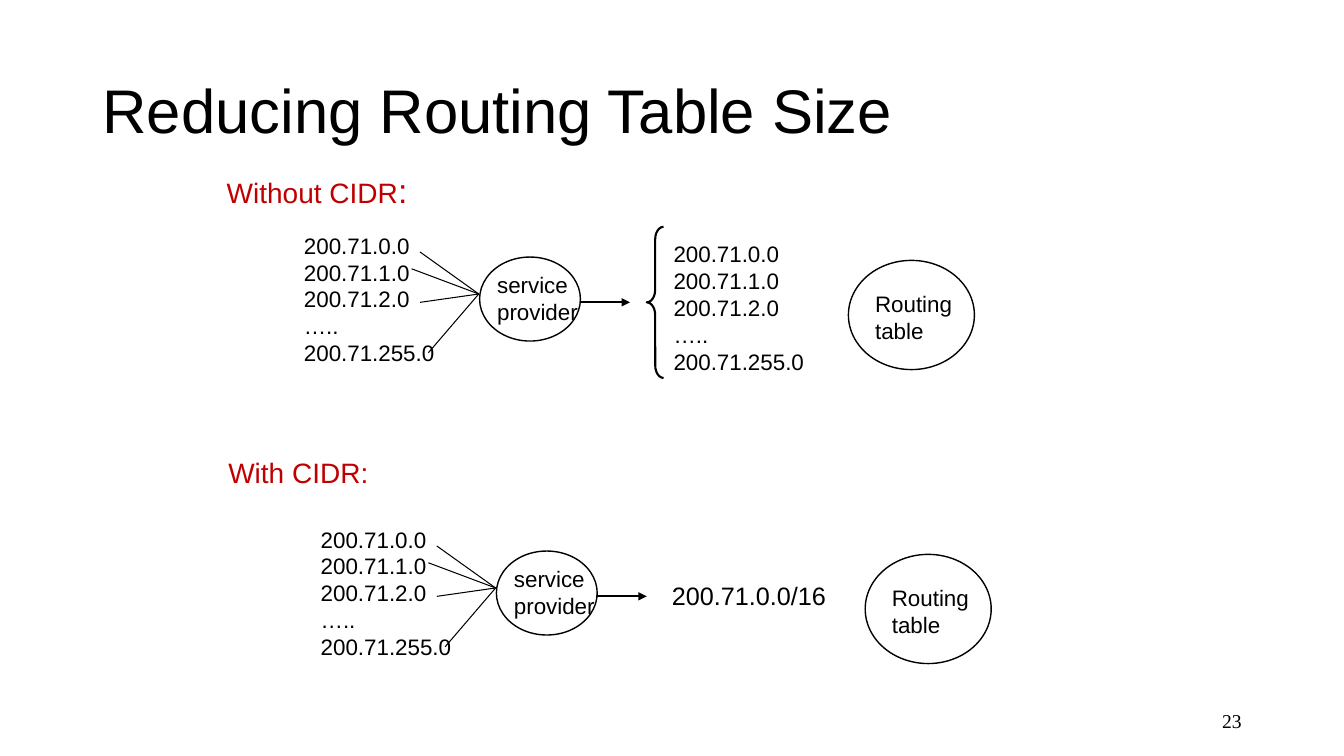
from lxml import etree
from pptx import Presentation
from pptx import util as u
from pptx.dml.color import RGBColor
from pptx.enum import shapes, text
from pptx.oxml.ns import qn

COLORS = {"ink": "000000", "heading": "C00000"}
COLUMNS, ROWS = 160, 90
CELL = u.Inches(13.333) / COLUMNS
PANEL_SHIFT = (2, 35)
ADDRESSES = ["200.71.0.0", "200.71.1.0", "200.71.2.0", "…..", "200.71.255.0"]
LINK_STARTS = [(50, 30), (49, 32), (50, 36), (51, 42)]
LINK_END = (57, 35)


def cells(*counts):
    """Turn grid counts into lengths."""
    return [u.Emu(round(count * CELL)) for count in counts]


def color(name):
    return RGBColor.from_string(COLORS[name])


def write(frame, lines, size=16, font="Arial", ink="ink",
          align=text.PP_ALIGN.LEFT, anchor=text.MSO_ANCHOR.TOP,
          wrap=False, spacing=None):
    """Fill a text frame; a line is a string or a list of (words, size)."""
    frame.word_wrap = wrap
    frame.auto_size = (text.MSO_AUTO_SIZE.NONE if wrap
                       else text.MSO_AUTO_SIZE.SHAPE_TO_FIT_TEXT)
    frame.vertical_anchor = anchor
    for index, line in enumerate(lines):
        paragraph = frame.add_paragraph() if index else frame.paragraphs[0]
        paragraph.alignment = align
        paragraph.line_spacing = spacing
        pieces = [(line, size)] if isinstance(line, str) else line
        for words, points in pieces:
            run = paragraph.add_run()
            run.text = words
            run.font.size = u.Pt(points)
            run.font.name = font
            run.font.color.rgb = color(ink)


def label(slide, box, lines, **style):
    write(slide.shapes.add_textbox(*cells(*box)).text_frame, lines, **style)


def outline(slide, kind, box, weight=1):
    shape = slide.shapes.add_shape(kind, *cells(*box))
    shape.shadow.inherit = False
    shape.fill.background()
    shape.line.color.rgb = color("ink")
    shape.line.width = u.Pt(weight)
    return shape


def link(slide, start, end, weight=0.75, arrow=False):
    line = slide.shapes.add_connector(
        shapes.MSO_CONNECTOR.STRAIGHT, *cells(*start, *end))
    line.line.color.rgb = color("ink")
    line.line.width = u.Pt(weight)
    if arrow:
        etree.SubElement(line.line._get_or_add_ln(), qn("a:tailEnd"), type="triangle")
    etree.SubElement(line._element.spPr, qn("a:effectLst"))


def network(slide, dx=0, dy=0):
    """Draw the addresses, the provider and the routing table of one case."""
    oval = shapes.MSO_SHAPE.OVAL
    outline(slide, oval, (57.1 + dx, 30.6 + dy, 12, 10))
    label(slide, (58 + dx, 31.65 + dy, 12.1, 7.7), ["service", "provider"])
    label(slide, (35 + dx, 27 + dy, 18.1, 17.4), ADDRESSES)
    end_x, end_y = LINK_END
    for x, y in LINK_STARTS:
        link(slide, (x + dx, y + dy), (end_x + dx, end_y + dy))
    link(slide, (69 + dx, 36 + dy), (75 + dx, 36 + dy), weight=1.5, arrow=True)
    outline(slide, oval, (101 + dx, 31 + dy, 15, 13))
    label(slide, (103 + dx, 34 + dy, 11.6, 7.7), ["Routing", "table"])


def main():
    deck = Presentation()
    deck.slide_width, deck.slide_height = cells(COLUMNS, ROWS)
    slide = deck.slides.add_slide(deck.slide_layouts[5])

    title = slide.shapes.title
    title.left, title.top, title.width, title.height = cells(11, 4.8, 138, 17.4)
    write(title.text_frame, ["Reducing Routing Table Size"], size=44,
          anchor=text.MSO_ANCHOR.MIDDLE, wrap=True, spacing=0.9)

    label(slide, (25.8, 19.6, 24.1, 6), [[("Without CIDR", 20), (":", 24)]],
          ink="heading")
    network(slide)
    brace = outline(slide, shapes.MSO_SHAPE.LEFT_BRACE, (77, 27, 2, 18), weight=1.5)
    brace.adjustments[0] = 0.75
    label(slide, (79, 28, 18.1, 17.4), ADDRESSES)

    label(slide, (26, 53.6, 19.2, 5.3), ["With CIDR:"], size=20, ink="heading")
    network(slide, *PANEL_SHIFT)
    label(slide, (78.8, 68.5, 20.9, 4.8), ["200.71.0.0/16"], size=18)

    label(slide, (113, 83.4, 36, 4.8), ["23"], size=14, font="Times New Roman",
          align=text.PP_ALIGN.RIGHT, anchor=text.MSO_ANCHOR.MIDDLE, wrap=True)
    deck.save("out.pptx")


if __name__ == "__main__":
    main()
